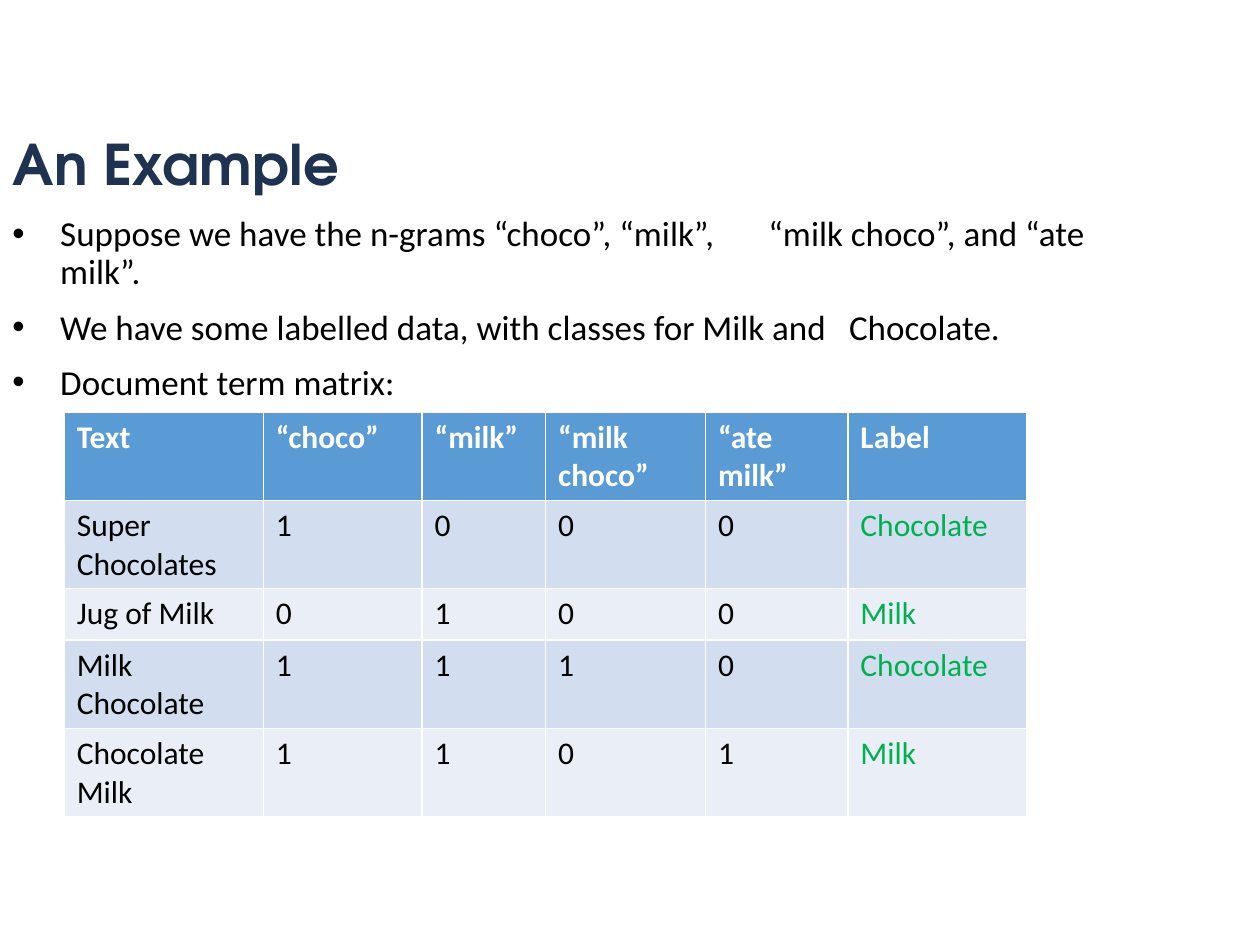
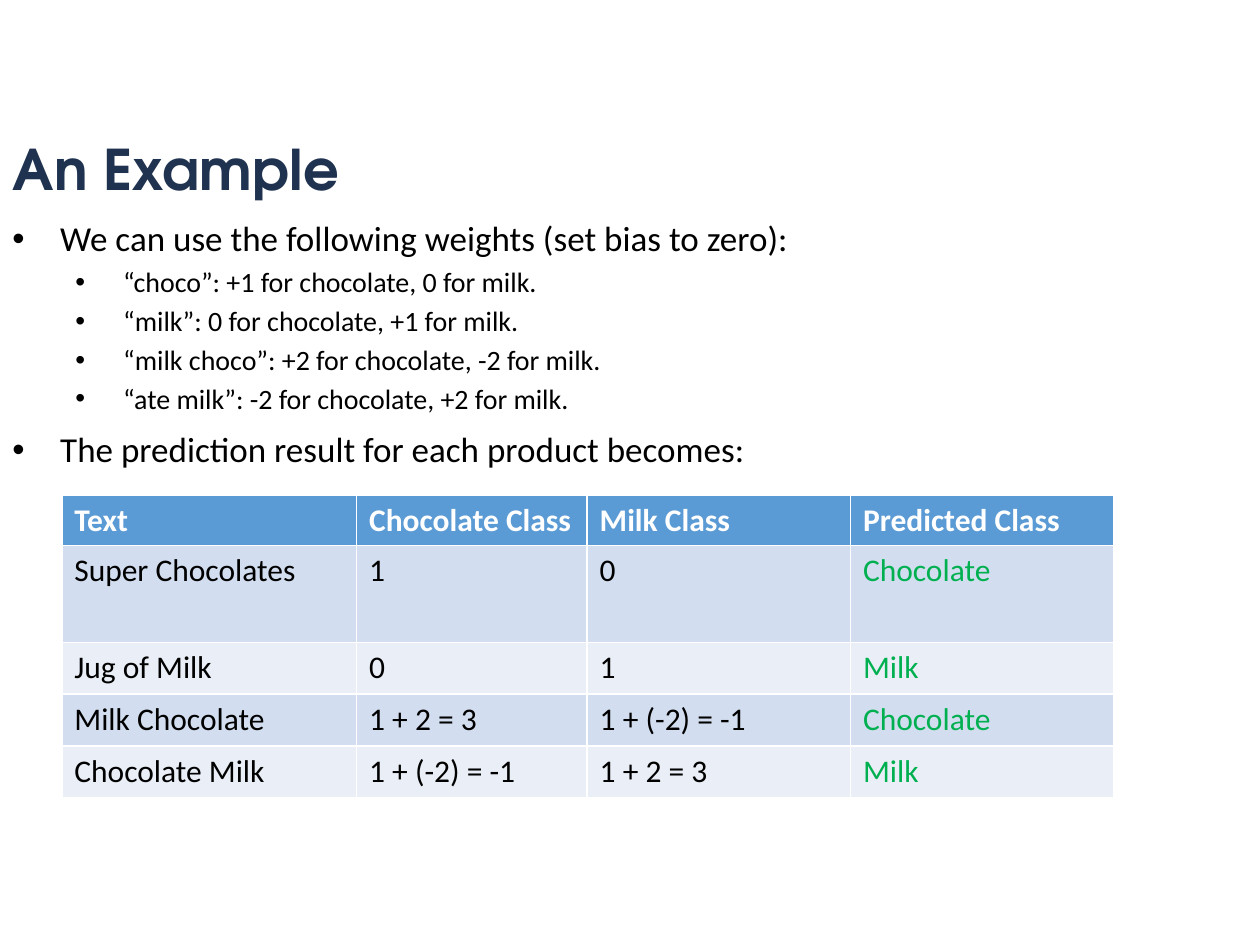
import pptx
import pptx.util
import pptx.dml.color
import pptx.enum.text
import lxml.etree
from dataclasses import dataclass

Inches = pptx.util.Inches
Pt = pptx.util.Pt


@dataclass(frozen=True)
class Theme:
    font: str = "Calibri"
    head_font: str = "TeX Gyre Adventor"
    navy: str = "1F324F"
    black: str = "000000"
    white: str = "FFFFFF"
    green: str = "00B050"
    blue: str = "5B9BD5"
    bands: tuple = ("D2DEEF", "EAEFF7")
    title: int = 32
    body: tuple = (20, 16)
    gaps: tuple = (10, 5)
    cell: int = 18


theme = Theme()


def style(par, size, color, font=theme.font, bold=False):
    for run in par.runs:
        run.font.name = font
        run.font.size = Pt(size)
        run.font.bold = bold
        run.font.color.rgb = pptx.dml.color.RGBColor.from_string(color)


def bullet(par, level, stop):
    """Add a hanging bullet and, if stop is given, a tab stop in inches."""
    props = par._p.get_or_add_pPr()
    props.set("marL", str(Inches(0.38 + 0.5 * level)))
    props.set("indent", str(Inches(-0.38)))
    space = "{http://schemas.openxmlformats.org/drawingml/2006/main}"
    lxml.etree.SubElement(props, space + "buFont", typeface="Arial")
    lxml.etree.SubElement(props, space + "buChar", char="•")
    if stop:
        tabs = lxml.etree.SubElement(props, space + "tabLst")
        lxml.etree.SubElement(tabs, space + "tab", pos=str(Inches(stop)), algn="l")


# Points are (level, text, tab stop)
slides = [
    {
        "top": 0.99,
        "depth": 4.91,
        "points": [
            (0, "Suppose we have the n-grams “choco”, “milk”,\t“milk choco”, and “ate milk”.", 5.5),
            (0, "We have some labelled data, with classes for Milk and\tChocolate.", 6.64),
            (0, "Document term matrix:", None),
        ],
        "place": (0.51, 3.27),
        "cols": [1.58, 1.26, 0.98, 1.27, 1.13, 1.42],
        "rows": [0.39, 0.41, 0.41, 0.41, 0.41],
        "cells": [
            ["Text", "“choco”", "“milk”", "“milk choco”", "“ate milk”", "Label"],
            ["Super Chocolates", "1", "0", "0", "0", "Chocolate"],
            ["Jug of Milk", "0", "1", "0", "0", "Milk"],
            ["Milk Chocolate", "1", "1", "1", "0", "Chocolate"],
            ["Chocolate Milk", "1", "1", "0", "1", "Milk"],
        ],
    },
    {
        "top": 1.03,
        "depth": 5.35,
        "points": [
            (0, "We can use the following weights (set bias to zero):", None),
            (1, "“choco”: +1 for chocolate, 0 for milk.", None),
            (1, "“milk”: 0 for chocolate, +1 for milk.", None),
            (1, "“milk choco”: +2 for chocolate, -2 for milk.", None),
            (1, "“ate milk”: -2 for chocolate, +2 for milk.", None),
            (0, "The prediction result for each product becomes:", None),
        ],
        "place": (0.49, 3.93),
        "cols": [2.34, 1.83, 2.09, 2.09],
        "rows": [0.39, 0.77, 0.41, 0.41, 0.41],
        "cells": [
            ["Text", "Chocolate Class", "Milk Class", "Predicted Class"],
            ["Super Chocolates", "1", "0", "Chocolate"],
            ["Jug of Milk", "0", "1", "Milk"],
            ["Milk Chocolate", "1 + 2 = 3", "1 + (-2) = -1", "Chocolate"],
            ["Chocolate Milk", "1 + (-2) = -1", "1 + 2 = 3", "Milk"],
        ],
    },
]

deck = pptx.Presentation()
deck.slide_width = Inches(10)
deck.slide_height = Inches(7.5)

for data in slides:
    slide = deck.slides.add_slide(deck.slide_layouts[5])

    # Title
    title = slide.shapes.title
    title.left, title.top = Inches(0), Inches(data["top"])
    title.width, title.height = Inches(6.83), Inches(0.68)
    frame = title.text_frame
    frame.text = "An Example"
    frame.auto_size = pptx.enum.text.MSO_AUTO_SIZE.NONE
    frame.vertical_anchor = pptx.enum.text.MSO_ANCHOR.MIDDLE
    par = frame.paragraphs[0]
    par.alignment = pptx.enum.text.PP_ALIGN.LEFT
    par.line_spacing = 0.9
    style(par, theme.title, theme.navy, theme.head_font, True)

    # Bullet points, directly under the title
    box = slide.shapes.add_textbox(
        Inches(0), Inches(data["top"] + 0.68), Inches(9.17), Inches(data["depth"]))
    frame = box.text_frame
    frame.word_wrap = True
    for i, (level, text, stop) in enumerate(data["points"]):
        par = frame.add_paragraph() if i else frame.paragraphs[0]
        par.text = text
        par.level = level
        par.line_spacing = 0.9
        par.space_before = Pt(theme.gaps[level])
        bullet(par, level, stop)
        style(par, theme.body[level], theme.black)

    # Table
    cols, rows = data["cols"], data["rows"]
    left, top = data["place"]
    table = slide.shapes.add_table(
        len(rows), len(cols), Inches(left), Inches(top),
        Inches(sum(cols)), Inches(sum(rows))).table
    for col, width in zip(table.columns, cols):
        col.width = Inches(width)
    for row, height in zip(table.rows, rows):
        row.height = Inches(height)
    for r, words in enumerate(data["cells"]):
        for c, word in enumerate(words):
            cell = table.cell(r, c)
            cell.text = word
            if r == 0:
                fill, color = theme.blue, theme.white
            else:
                fill = theme.bands[(r - 1) % 2]
                color = theme.green if c == len(cols) - 1 else theme.black
            cell.fill.solid()
            cell.fill.fore_color.rgb = pptx.dml.color.RGBColor.from_string(fill)
            style(cell.text_frame.paragraphs[0], theme.cell, color, bold=r == 0)

deck.save("out.pptx")
